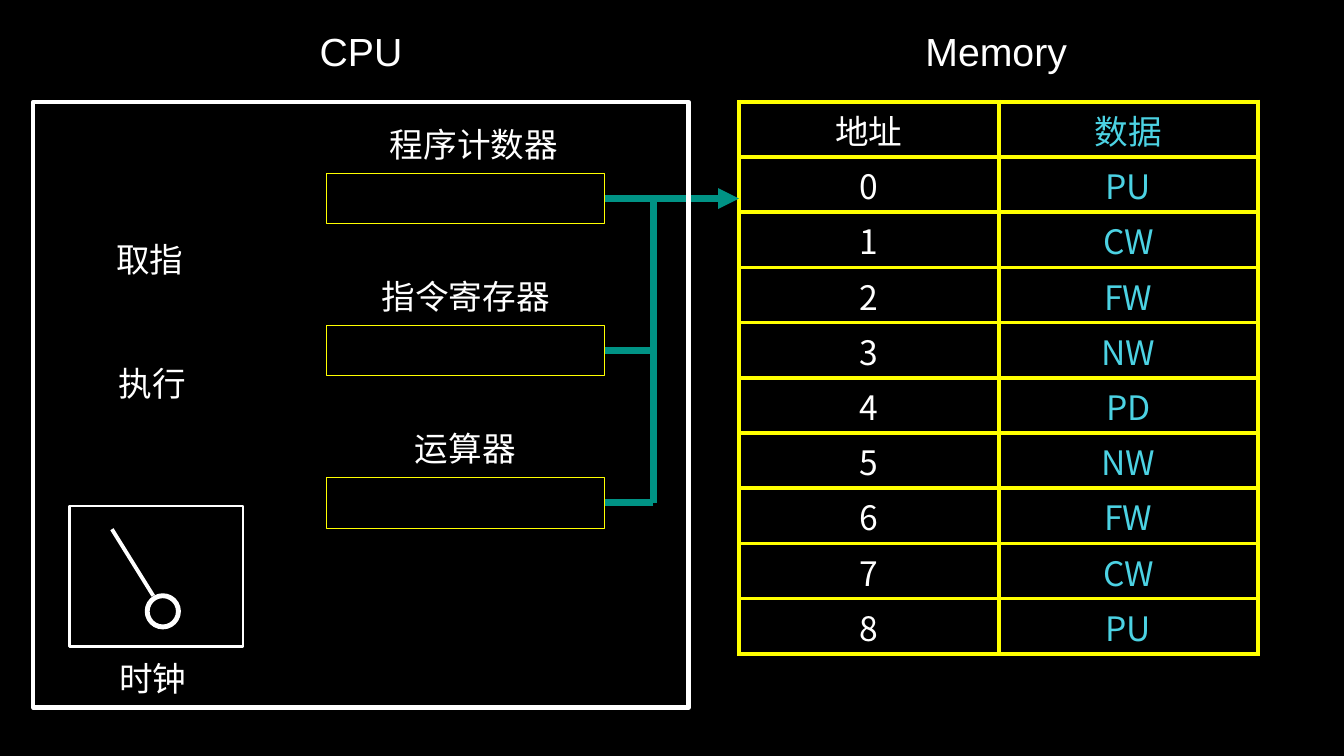
from dataclasses import dataclass

from lxml.etree import SubElement
from pptx import Presentation
from pptx.dml.color import RGBColor
from pptx.enum.shapes import MSO_CONNECTOR, MSO_SHAPE
from pptx.enum.text import MSO_ANCHOR, PP_ALIGN
from pptx.oxml import parse_xml
from pptx.oxml.ns import nsdecls, qn
from pptx.slide import Slide
from pptx.table import _Cell as Cell
from pptx.text.text import TextFrame
from pptx.util import Inches, Pt


@dataclass(frozen=True)
class Theme:
    background: str = "000000"
    text: str = "FFFFFF"
    data: str = "4CD2E3"
    frame: str = "FFFF00"
    bus: str = "009385"
    latin: str = "Arial"
    chinese: str = "Noto Sans CJK SC"
    heading_size: float = 28
    body_size: float = 24
    bus_width: float = 5
    grid_width: float = 3


@dataclass(frozen=True)
class Label:
    text: str
    left: float
    top: float
    width: float
    height: float = 0.5
    size: float = Theme.body_size
    wrap: bool = True


@dataclass(frozen=True)
class Outline:
    left: float
    top: float
    width: float
    height: float
    color: str
    line_width: float
    kind: MSO_SHAPE = MSO_SHAPE.RECTANGLE


@dataclass(frozen=True)
class Segment:
    start: tuple[float, float]
    end: tuple[float, float]
    color: str = Theme.bus
    line_width: float = Theme.bus_width
    arrow: bool = False


THEME = Theme()

MEMORY_LEFT, MEMORY_TOP, MEMORY_WIDTH, MEMORY_HEIGHT = 7.33, 1.01, 5.15, 5.48
INSTRUCTIONS = ["PU", "CW", "FW", "NW", "PD", "NW", "FW", "CW", "PU"]
MEMORY_ROWS = [("地址", "数据")] + [(str(i), code) for i, code in enumerate(INSTRUCTIONS)]

REGISTER_LEFT, REGISTER_WIDTH, REGISTER_HEIGHT = 3.24, 2.76, 0.5
REGISTER_RIGHT = REGISTER_LEFT + REGISTER_WIDTH
REGISTER_TOPS = [1.72 + 1.51 * i for i in range(3)]
REGISTER_LABEL_GAP = 0.54
REGISTER_LABELS = [("程序计数器", 3.76, 1.88), ("指令寄存器", 3.68, 1.88), ("运算器", 4.01, 1.21)]
BUS_X = 6.48
COUNTER_Y, INSTRUCTION_Y, ALU_Y = [top + REGISTER_HEIGHT / 2 for top in REGISTER_TOPS]

LABELS = [
    Label("CPU", 1.27, 0.22, 4.62, 0.57, THEME.heading_size),
    Label("Memory", 7.57, 0.22, 4.62, 0.57, THEME.heading_size),
    Label("取指", 0.8, 2.32, 1.37),
    Label("执行", 0.8, 3.55, 1.42),
    Label("时钟", 0.28, 6.48, 2.47),
] + [
    Label(name, left, top - REGISTER_LABEL_GAP, width, wrap=False)
    for (name, left, width), top in zip(REGISTER_LABELS, REGISTER_TOPS)
]
REGISTERS = [
    Outline(REGISTER_LEFT, top, REGISTER_WIDTH, REGISTER_HEIGHT, THEME.frame, 0.75)
    for top in REGISTER_TOPS
]
BUS = [
    Segment((REGISTER_RIGHT, COUNTER_Y), (MEMORY_LEFT, COUNTER_Y), arrow=True),
    Segment((BUS_X, COUNTER_Y), (BUS_X, ALU_Y)),
    Segment((BUS_X, ALU_Y), (REGISTER_RIGHT, ALU_Y)),
    Segment((REGISTER_RIGHT, INSTRUCTION_Y), (BUS_X, INSTRUCTION_Y)),
]
CPU_FRAME = Outline(0.33, 1.01, 6.5, 6.01, THEME.text, 3)
CLOCK_PIVOT = Outline(1.46, 5.91, 0.31, 0.31, THEME.text, 3.5, MSO_SHAPE.OVAL)
CLOCK_HAND = Segment((1.52, 5.91), (1.11, 5.25), THEME.text, 2.75)
CLOCK_FACE = Outline(0.69, 5.02, 1.72, 1.39, THEME.text, 2)


def write_centred(frame: TextFrame, text: str, size: float, color: str, latin: str) -> None:
    paragraph = frame.paragraphs[0]
    paragraph.alignment = PP_ALIGN.CENTER
    run = paragraph.add_run()
    run.text = text
    run.font.size = Pt(size)
    run.font.name = latin
    run.font.color.rgb = RGBColor.from_string(color)
    SubElement(run.font._element, qn("a:ea")).set("typeface", THEME.chinese)


def add_label(slide: Slide, label: Label) -> None:
    box = slide.shapes.add_textbox(
        Inches(label.left), Inches(label.top), Inches(label.width), Inches(label.height)
    )
    box.text_frame.word_wrap = label.wrap
    write_centred(box.text_frame, label.text, label.size, THEME.text, THEME.latin)


def add_outline(slide: Slide, outline: Outline) -> None:
    shape = slide.shapes.add_shape(
        outline.kind, Inches(outline.left), Inches(outline.top),
        Inches(outline.width), Inches(outline.height),
    )
    shape.shadow.inherit = False
    shape.fill.background()
    shape.line.color.rgb = RGBColor.from_string(outline.color)
    shape.line.width = Pt(outline.line_width)


def add_segment(slide: Slide, segment: Segment) -> None:
    ends = [Inches(value) for value in (*segment.start, *segment.end)]
    connector = slide.shapes.add_connector(MSO_CONNECTOR.STRAIGHT, *ends)
    connector.line.color.rgb = RGBColor.from_string(segment.color)
    connector.line.width = Pt(segment.line_width)
    properties = connector._element.spPr
    if segment.arrow:
        SubElement(properties.find(qn("a:ln")), qn("a:tailEnd")).set("type", "triangle")
    SubElement(properties, qn("a:effectLst"))


def add_borders(cell: Cell) -> None:
    properties = cell._tc.get_or_add_tcPr()
    for position, side in enumerate(("lnL", "lnR", "lnT", "lnB")):
        border = parse_xml(
            f'<a:{side} {nsdecls("a")} w="{Pt(THEME.grid_width)}"><a:solidFill>'
            f'<a:srgbClr val="{THEME.frame}"/></a:solidFill></a:{side}>'
        )
        properties.insert(position, border)


def add_memory(slide: Slide) -> None:
    table = slide.shapes.add_table(
        len(MEMORY_ROWS), 2, Inches(MEMORY_LEFT), Inches(MEMORY_TOP),
        Inches(MEMORY_WIDTH), Inches(MEMORY_HEIGHT),
    ).table
    table.first_row = table.horz_banding = False
    for row_index, values in enumerate(MEMORY_ROWS):
        latin = THEME.chinese if row_index else THEME.latin
        for column, (value, color) in enumerate(zip(values, (THEME.text, THEME.data))):
            cell = table.cell(row_index, column)
            cell.fill.background()
            cell.vertical_anchor = MSO_ANCHOR.MIDDLE
            cell.margin_left = cell.margin_right = cell.margin_top = Inches(0.01)
            cell.margin_bottom = 0
            add_borders(cell)
            write_centred(cell.text_frame, value, THEME.body_size, color, latin)


def main() -> None:
    deck = Presentation()
    deck.slide_width, deck.slide_height = Inches(13.33), Inches(7.5)
    slide = deck.slides.add_slide(deck.slide_layouts[6])
    slide.background.fill.solid()
    slide.background.fill.fore_color.rgb = RGBColor.from_string(THEME.background)

    add_memory(slide)
    for register in REGISTERS:
        add_outline(slide, register)
    for segment in BUS:
        add_segment(slide, segment)
    add_outline(slide, CPU_FRAME)
    add_outline(slide, CLOCK_PIVOT)
    add_segment(slide, CLOCK_HAND)
    add_outline(slide, CLOCK_FACE)
    for label in LABELS:
        add_label(slide, label)
    deck.save("out.pptx")


if __name__ == "__main__":
    main()
